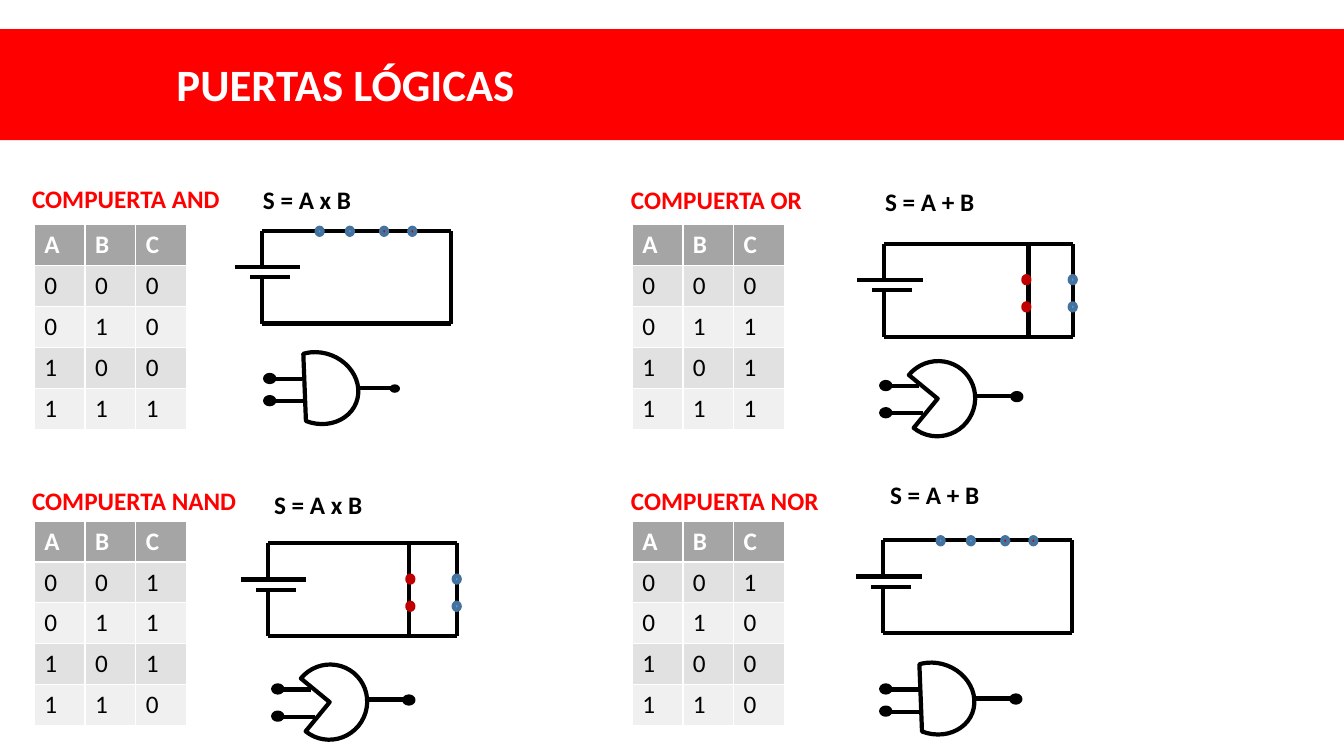
"""Build the slide on logic gates with truth tables, circuits and gate symbols."""
import dataclasses
import typing

import lxml.etree
import pptx
import pptx.dml.color
import pptx.enum.shapes
import pptx.enum.text
import pptx.oxml.ns
import pptx.util

Inches = pptx.util.Inches
Preset = pptx.enum.shapes.MSO_SHAPE
Point = tuple[float, float]

RED, DARK_RED, BLACK, WHITE = "FF0000", "C00000", "000000", "FFFFFF"
BLUE, BLUE_EDGE = "5B9BD5", "43739E"
HEADER_GREY, BAND_GREYS = "A5A5A5", ("E1E1E1", "F0F0F0")
INPUTS = ("00", "01", "10", "11")
TEXT_BOX = {
    "word_wrap": True,
    "auto_size": pptx.enum.text.MSO_AUTO_SIZE.NONE,
    "vertical_anchor": pptx.enum.text.MSO_ANCHOR.TOP,
}


@dataclasses.dataclass(frozen=True)
class SymbolStyle:
    preset: Preset
    size: Point
    rotation: float
    input_starts: tuple[Point, Point]
    output_start: float


@dataclasses.dataclass(frozen=True)
class Gate:
    name: str
    name_at: Point
    formula: str
    formula_at: Point
    outputs: str
    table_at: Point
    circuit_at: Point
    branch: typing.Optional[float]
    symbol: SymbolStyle
    symbol_at: Point
    output_dot: float
    output_dot_line: float = 3


CHORD = SymbolStyle(Preset.CHORD, (0.8, 0.7), 201, ((-0.13, 0.26), (-0.1, 0.48)), 0.81)
PIE = SymbolStyle(Preset.PIE, (0.74, 0.75), 219.4, ((-0.19, 0.25), (-0.15, 0.52)), 0.76)

GATES = (
    Gate("COMPUERTA AND", (0.22, 1.77), "S = A x B", (2.51, 1.78), "0001", (0.34, 2.23),
         (2.6, 2.29), None, CHORD, (2.76, 3.5), 1.11, 1),
    Gate("COMPUERTA OR", (6.16, 1.78), "S = A + B", (8.68, 1.8), "0111", (6.27, 2.23),
         (8.77, 2.42), 1.43, PIE, (8.93, 3.58), 1.11),
    Gate("COMPUERTA NAND", (0.22, 4.77), "S = A x B", (2.62, 4.81), "1110", (0.34, 5.17),
         (2.66, 5.39), 1.4, PIE, (2.9, 6.59), 1.11),
    Gate("COMPUERTA NOR", (6.16, 4.77), "S = A + B", (8.73, 4.71), "1000", (6.27, 5.17),
         (8.76, 5.36), None, CHORD, (8.87, 6.58), 1.16),
)

CIRCUIT_WIRES = (
    ((0, 0), (1.87, 0)),
    ((0, 0.92), (1.87, 0.92)),
    ((1.87, 0.92), (1.87, 0)),
    ((0, 0.92), (0, 0.46)),
    ((0, 0.36), (0, 0)),
    ((-0.27, 0.36), (0.38, 0.36)),
    ((-0.12, 0.46), (0.28, 0.46)),
)
SERIES_DOTS = ((0.54, BLUE), (0.84, BLUE), (1.18, DARK_RED), (1.46, DARK_RED))
PARALLEL_DOTS = ((1.84, BLUE, BLUE_EDGE), (1.38, DARK_RED, DARK_RED))


def set_values(target: typing.Any, values: dict[str, typing.Any]) -> None:
    for name, value in values.items():
        setattr(target, name, value)


def colour(hex_value: str) -> pptx.dml.color.RGBColor:
    return pptx.dml.color.RGBColor.from_string(hex_value)


def shift(origin: Point, offset: Point) -> Point:
    return origin[0] + offset[0], origin[1] + offset[1]


def write(frame: typing.Any, text: str, size: float, hex_value: str, bold: bool = True,
          justified: bool = True) -> None:
    paragraph = frame.paragraphs[0]
    paragraph.text = text
    if justified:
        paragraph.alignment = pptx.enum.text.PP_ALIGN.JUSTIFY
    set_values(paragraph.font, {"name": "Calibri", "size": pptx.util.Pt(size), "bold": bold})
    paragraph.font.color.rgb = colour(hex_value)


def add_label(shapes: typing.Any, text: str, at: Point, hex_value: str) -> None:
    label = shapes.add_textbox(*map(Inches, (*at, 2.56, 0.4)))
    set_values(label.text_frame, TEXT_BOX)
    write(label.text_frame, text, 18, hex_value)


def add_wire(shapes: typing.Any, start: Point, end: Point) -> None:
    straight = pptx.enum.shapes.MSO_CONNECTOR.STRAIGHT
    wire = shapes.add_connector(straight, *map(Inches, (*start, *end)))
    wire.line.color.rgb = colour(BLACK)
    wire.line.width = pptx.util.Pt(3)
    lxml.etree.SubElement(wire.element.spPr, pptx.oxml.ns.qn("a:effectLst"))


def add_figure(shapes: typing.Any, preset: Preset, at: Point, size: Point,
               fill: typing.Optional[str], edge: typing.Optional[str],
               width: float = 3) -> typing.Any:
    figure = shapes.add_shape(preset, *map(Inches, (*at, *size)))
    figure.shadow.inherit = False
    if fill:
        figure.fill.solid()
        figure.fill.fore_color.rgb = colour(fill)
    else:
        figure.fill.background()
    if edge:
        figure.line.color.rgb = colour(edge)
        figure.line.width = pptx.util.Pt(width)
    else:
        figure.line.fill.background()
    return figure


def add_title(slide: typing.Any) -> None:
    band = add_figure(slide.shapes, Preset.RECTANGLE, (0, 0.29), (13.33, 1.1), RED, None)
    title = slide.shapes.title
    title.element.addprevious(band.element)
    set_values(title, {"left": Inches(1.65), "top": Inches(0.51),
                       "width": Inches(11.25), "height": Inches(0.64)})
    set_values(title.text_frame, TEXT_BOX)
    write(title.text_frame, "PUERTAS LÓGICAS", 32, WHITE)


def add_truth_table(shapes: typing.Any, gate: Gate) -> None:
    rows = ["ABC"] + [inputs + output for inputs, output in zip(INPUTS, gate.outputs)]
    table = shapes.add_table(len(rows), 3, *map(Inches, (*gate.table_at, 1.51, 2))).table
    for row_index, row in enumerate(rows):
        header = row_index == 0
        for column_index, text in enumerate(row):
            cell = table.cell(row_index, column_index)
            cell.fill.solid()
            fill = HEADER_GREY if header else BAND_GREYS[(row_index - 1) % 2]
            cell.fill.fore_color.rgb = colour(fill)
            write(cell.text_frame, text, 18, WHITE if header else BLACK, header, False)


def add_circuit(shapes: typing.Any, gate: Gate) -> None:
    origin, dot_size = gate.circuit_at, (0.06, 0.07)
    for start, end in CIRCUIT_WIRES:
        add_wire(shapes, shift(origin, start), shift(origin, end))
    if gate.branch is None:
        dots = [(x, -0.03, fill, BLUE_EDGE) for x, fill in SERIES_DOTS]
    else:
        add_wire(shapes, shift(origin, (gate.branch, 0)), shift(origin, (gate.branch, 0.92)))
        dots = [(x, y, fill, edge) for x, fill, edge in PARALLEL_DOTS for y in (0.59, 0.32)]
    for x, y, fill, edge in dots:
        add_figure(shapes, Preset.OVAL, shift(origin, (x, y)), dot_size, fill, edge)


def add_symbol(shapes: typing.Any, gate: Gate) -> None:
    origin, style, dot_size = gate.symbol_at, gate.symbol, (0.09, 0.07)
    body = add_figure(shapes, style.preset, origin, style.size, None, BLACK)
    body.rotation = style.rotation
    for start in (*style.input_starts, (style.output_start, 0.35)):
        add_wire(shapes, shift(origin, start), shift(origin, shift(start, (0.37, 0))))
    dot_left = style.input_starts[0][0]
    dots = [(dot_left, y - 0.04, 3) for x, y in style.input_starts]
    for x, y, width in (*dots, (gate.output_dot, 0.32, gate.output_dot_line)):
        add_figure(shapes, Preset.OVAL, shift(origin, (x, y)), dot_size, BLACK, BLACK, width)


def main() -> None:
    presentation = pptx.Presentation()
    set_values(presentation, {"slide_width": Inches(13.33), "slide_height": Inches(7.5)})
    slide = presentation.slides.add_slide(presentation.slide_layouts[5])
    add_title(slide)
    for gate in GATES:
        add_truth_table(slide.shapes, gate)
        add_label(slide.shapes, gate.name, gate.name_at, RED)
        add_label(slide.shapes, gate.formula, gate.formula_at, BLACK)
        add_circuit(slide.shapes.add_group_shape().shapes, gate)
        add_symbol(slide.shapes.add_group_shape().shapes, gate)
    presentation.save("out.pptx")


if __name__ == "__main__":
    main()
